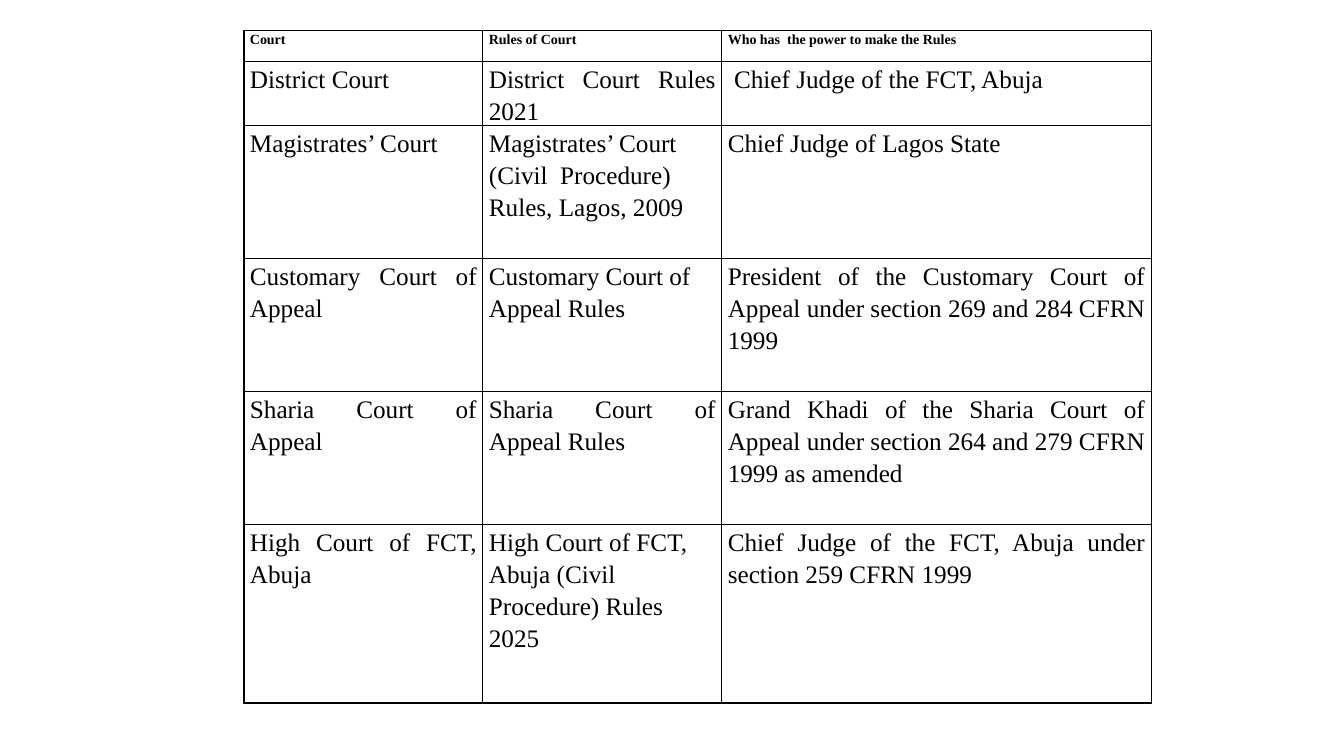
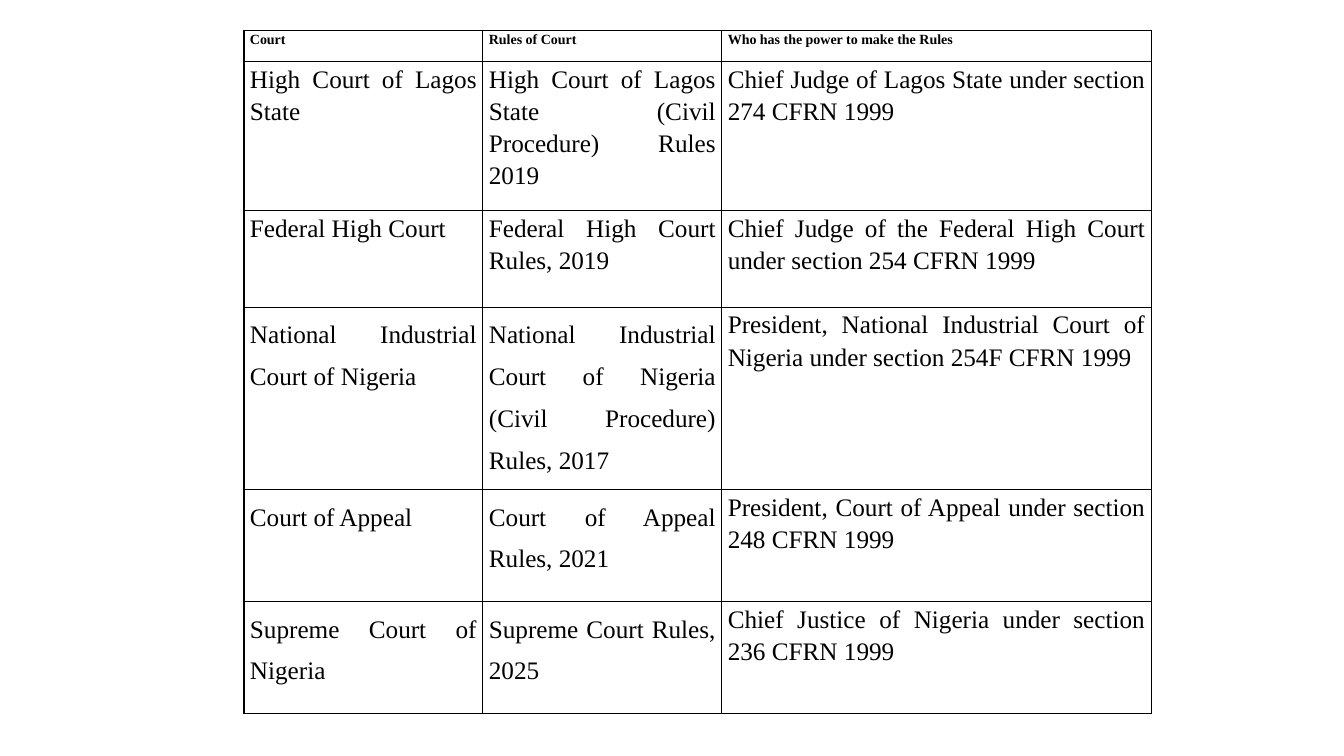
from lxml.etree import SubElement
from pptx import Presentation
from pptx.dml.color import RGBColor
from pptx.enum.text import PP_ALIGN
from pptx.oxml import parse_xml
from pptx.oxml.ns import nsdecls, qn
from pptx.util import Inches, Pt

BLACK = RGBColor(0, 0, 0)
WHITE = RGBColor(255, 255, 255)

WIDE, TALL = 13.33, 7.5
LEFT, TOP = 18.15, 4
COLS = [17.78, 17.78, 31.96]

HEAD = {"size": Pt(10), "bold": True}
BODY = {"size": Pt(18), "bold": False}
BASE = {"name": "Times New Roman"}
INSET = {
    "margin_left": Inches(0.06),
    "margin_right": Inches(0.06),
    "margin_top": 0,
    "margin_bottom": 0,
}
JUST = {"alignment": PP_ALIGN.JUSTIFY, "line_spacing": 1.15}
FLUSH = {"alignment": PP_ALIGN.LEFT}
LOOSE = {"line_spacing": 1.5}


def apply(item, style):
    for key, value in style.items():
        setattr(item, key, value)


class Deck:
    def __init__(self):
        self.prs = Presentation()
        apply(self.prs, {"slide_width": Inches(WIDE), "slide_height": Inches(TALL)})
        self.slide = None

    def x(self, share):
        return Inches(WIDE * share / 100)

    def y(self, share):
        return Inches(TALL * share / 100)

    def page(self):
        self.slide = self.prs.slides.add_slide(self.prs.slide_layouts[6])
        fill = self.slide.background.fill
        fill.solid()
        fill.fore_color.rgb = WHITE

    def border(self, cell):
        props = cell._tc.get_or_add_tcPr()
        for spot, side in enumerate("LRTB"):
            line = parse_xml(f'<a:ln{side} {nsdecls("a")} w="{Pt(1)}"/>')
            fill = SubElement(line, qn("a:solidFill"))
            SubElement(fill, qn("a:srgbClr"), val=str(BLACK))
            props.insert(spot, line)

    def cell(self, cell, text, font, para):
        apply(cell, INSET)
        cell.fill.background()
        self.border(cell)
        cell.text = text
        first = cell.text_frame.paragraphs[0]
        apply(first, JUST | para)
        face = first.runs[0].font
        apply(face, BASE | font)
        face.color.rgb = BLACK

    def table(self, rows, data, special):
        frame = self.slide.shapes.add_table(
            len(rows), len(COLS),
            self.x(LEFT), self.y(TOP), self.x(sum(COLS)), self.y(sum(rows)),
        )
        table = frame.table
        apply(table, {"first_row": False, "horz_banding": False})
        for col, share in zip(table.columns, COLS):
            col.width = self.x(share)
        for row, share in zip(table.rows, rows):
            row.height = self.y(share)
        for r, line in enumerate(data):
            for c, text in enumerate(line):
                font = BODY if r else HEAD
                self.cell(table.cell(r, c), text, font, special.get((r, c), {}))

    def save(self):
        self.prs.save("out.pptx")


LOWER = [
    ("Court", "Rules of Court", "Who has  the power to make the Rules"),
    ("District Court", "District Court Rules 2021", " Chief Judge of the FCT, Abuja"),
    (
        "Magistrates’ Court",
        "Magistrates’ Court (Civil  Procedure) Rules, Lagos, 2009",
        "Chief Judge of Lagos State",
    ),
    (
        "Customary Court of Appeal",
        "Customary Court of Appeal Rules",
        "President of the Customary Court of Appeal under section 269 and 284 CFRN 1999",
    ),
    (
        "Sharia Court of Appeal",
        "Sharia Court of Appeal Rules",
        "Grand Khadi of the Sharia Court of Appeal under section 264 and 279 CFRN 1999 as amended",
    ),
    (
        "High Court of FCT, Abuja",
        "High Court of FCT, Abuja (Civil Procedure) Rules 2025",
        "Chief Judge of the FCT, Abuja under section 259 CFRN 1999",
    ),
]

UPPER = [
    ("Court", "Rules of Court", "Who has the power to make the Rules"),
    (
        "High Court of Lagos State",
        "High Court of Lagos State (Civil Procedure) Rules 2019",
        "Chief Judge of Lagos State under section 274 CFRN 1999",
    ),
    (
        "Federal High Court",
        "Federal High Court Rules, 2019",
        "Chief Judge of the Federal High Court under section 254 CFRN 1999",
    ),
    (
        "National Industrial Court of Nigeria",
        "National Industrial Court of Nigeria (Civil Procedure) Rules, 2017",
        "President, National Industrial Court of Nigeria under section 254F CFRN 1999",
    ),
    (
        "Court of Appeal",
        "Court of Appeal Rules, 2021",
        "President, Court of Appeal under section 248 CFRN 1999",
    ),
    (
        "Supreme Court of Nigeria",
        "Supreme Court Rules, 2025",
        "Chief Justice of Nigeria under section 236 CFRN 1999",
    ),
]

PAGES = [
    (
        [4.13, 8.13, 17.6, 17.6, 17.6, 23.6],
        LOWER,
        {(r, 1): FLUSH for r in (2, 3, 5)},
    ),
    (
        [4.13, 19.73, 12.8, 24.13, 14.8, 14.8],
        UPPER,
        {(r, c): LOOSE for r in (3, 4, 5) for c in (0, 1)},
    ),
]


def main():
    deck = Deck()
    for rows, data, special in PAGES:
        deck.page()
        deck.table(rows, data, special)
    deck.save()


if __name__ == "__main__":
    main()
